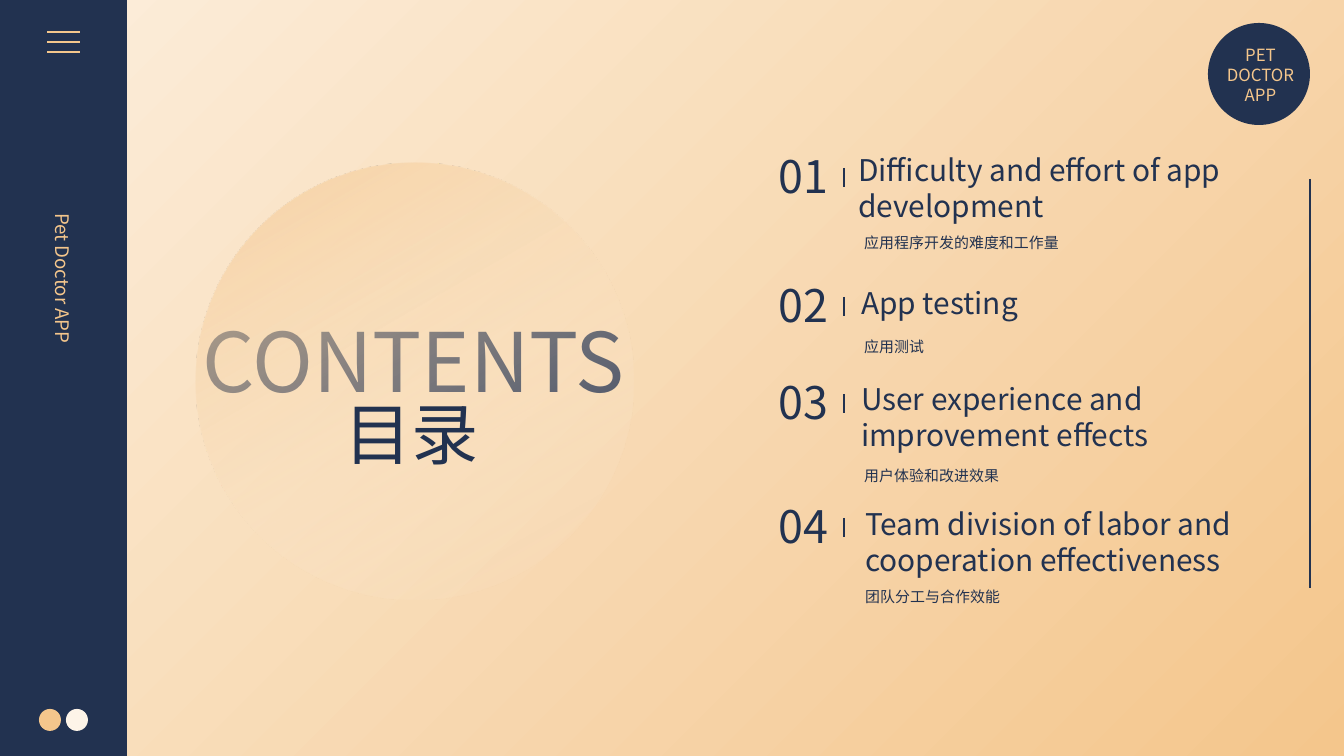
from dataclasses import dataclass

from lxml.etree import SubElement
from pptx import Presentation
from pptx.dml.color import RGBColor
from pptx.enum.shapes import MSO_CONNECTOR, MSO_SHAPE
from pptx.enum.text import MSO_ANCHOR, MSO_AUTO_SIZE, PP_ALIGN
from pptx.oxml import parse_xml
from pptx.oxml.ns import nsdecls, qn
from pptx.util import Emu, Pt


@dataclass(frozen=True)
class Theme:
    navy: str = "223250"
    peach: str = "F4C68C"
    cream: str = "FCEEDC"
    ivory: str = "FDF4E8"
    font: str = "Noto Sans CJK SC"
    title: int = 44
    subtitle: int = 36
    number: int = 24
    heading: int = 16
    sidebar: int = 10
    badge: int = 9
    caption: int = 8
    rule: float = 1.5


THEME = Theme()
EMU_PER_PX = 914400 / 134.4

ENTRIES = [
    (142, "01", (845, 145), "Difficulty and effort of app development",
     (851, 227), "应用程序开发的难度和工作量"),
    (271, "02", (848, 278), "App testing", (851, 331), "应用测试"),
    (368, "03", (848, 374), "User experience and improvement effects",
     (851, 460), "用户体验和改进效果"),
    (492, "04", (852, 499), "Team division of labor and cooperation effectiveness",
     (852, 581), "团队分工与合作效能"),
]


def px(length):
    return Emu(round(length * EMU_PER_PX))


def rgb(color):
    return RGBColor.from_string(color)


def fill_gradient(fill, angle, start, end, end_position=1.0):
    fill.gradient()
    fill.gradient_angle = angle
    first, last = fill.gradient_stops
    first.color.rgb, last.color.rgb = rgb(start), rgb(end)
    first.position, last.position = 0, end_position


def add_block(slide, preset, box, color=None):
    block = slide.shapes.add_shape(preset, *map(px, box))
    block.shadow.inherit = False
    block.line.fill.background()
    if color:
        block.fill.solid()
        block.fill.fore_color.rgb = rgb(color)
    return block


def add_rule(slide, start, end, color):
    rule = slide.shapes.add_connector(MSO_CONNECTOR.STRAIGHT, *map(px, start + end))
    rule.line.color.rgb = rgb(color)
    rule.line.width = Pt(THEME.rule)
    SubElement(rule._element.spPr, qn("a:effectLst"))


def write(holder, lines, size, color, align=PP_ALIGN.LEFT):
    frame = holder.text_frame
    frame.text = "\n".join(lines)
    frame.word_wrap = True
    frame.auto_size = MSO_AUTO_SIZE.NONE
    frame.vertical_anchor = MSO_ANCHOR.TOP
    for paragraph in frame.paragraphs:
        paragraph.alignment = align
        paragraph.font.size = Pt(size)
        paragraph.font.color.rgb = rgb(color)
        paragraph.font.name = THEME.font
        properties = paragraph._p.pPr.find(qn("a:defRPr"))
        SubElement(properties, qn("a:ea"), typeface=THEME.font)


def add_text(slide, box, lines, size, color=THEME.navy, align=PP_ALIGN.LEFT):
    label = slide.shapes.add_textbox(*map(px, box))
    write(label, lines, size, color, align)
    return label


def add_glow(slide):
    glow = add_block(slide, MSO_SHAPE.OVAL, (196, 163, 437, 437))
    glow.rotation = 330
    fill_gradient(glow.fill, 270, THEME.peach, THEME.cream, 0.84)
    faded = glow._element.spPr.findall(".//" + qn("a:srgbClr"))[-1]
    SubElement(faded, qn("a:alpha"), val="0")


def add_sidebar(slide):
    add_block(slide, MSO_SHAPE.RECTANGLE, (0, 0, 127, 756), THEME.navy)
    for left, color in ((66, THEME.ivory), (39, THEME.peach)):
        add_block(slide, MSO_SHAPE.OVAL, (left, 709, 22, 22), color)
    for row in range(3):
        y = 32 + row * 10
        add_rule(slide, (47, y), (80, y), THEME.peach)
    app_name = add_text(slide, (-121, 366, 368, 36), ["Pet Doctor APP"],
                        THEME.sidebar, THEME.peach, PP_ALIGN.JUSTIFY)
    app_name.rotation = 90


def add_badge(slide):
    add_block(slide, MSO_SHAPE.OVAL, (1208, 23, 102, 102), THEME.navy)
    add_text(slide, (1208, 38, 105, 73), ["PET", "DOCTOR", "APP"],
             THEME.badge, THEME.peach, PP_ALIGN.CENTER)


def add_titles(slide):
    title = slide.shapes.title
    title.left, title.top, title.width, title.height = map(px, (169, 304, 489, 113))
    write(title, ["CONTENTS"], THEME.title, THEME.navy, PP_ALIGN.CENTER)
    chinese = add_text(slide, (130, 386, 563, 95), ["目录"], THEME.subtitle,
                       align=PP_ALIGN.CENTER)
    properties = chinese.text_frame.paragraphs[0]._p.pPr.find(qn("a:defRPr"))
    properties.insert(0, parse_xml(
        f'<a:ln {nsdecls("a")} w="{Pt(0.25)}"><a:solidFill>'
        f'<a:srgbClr val="{THEME.navy}"/></a:solidFill></a:ln>'))


def add_entry(slide, top, number, heading_at, heading, caption_at, caption):
    add_text(slide, (762, top, 83, 67), [number], THEME.number, align=PP_ALIGN.CENTER)
    add_rule(slide, (844, top + 26), (844, top + 45), THEME.navy)
    add_text(slide, heading_at + (444, 86), [heading], THEME.heading)
    add_text(slide, caption_at + (325, 31), [caption], THEME.caption)


def main():
    deck = Presentation()
    deck.slide_width, deck.slide_height = px(1344), px(756)
    slide = deck.slides.add_slide(deck.slide_layouts[5])
    fill_gradient(slide.background.fill, 135, THEME.peach, THEME.cream)
    add_glow(slide)
    add_sidebar(slide)
    add_badge(slide)
    add_rule(slide, (1310, 179), (1310, 588), THEME.navy)
    add_titles(slide)
    for entry in ENTRIES:
        add_entry(slide, *entry)
    deck.save("out.pptx")


if __name__ == "__main__":
    main()
